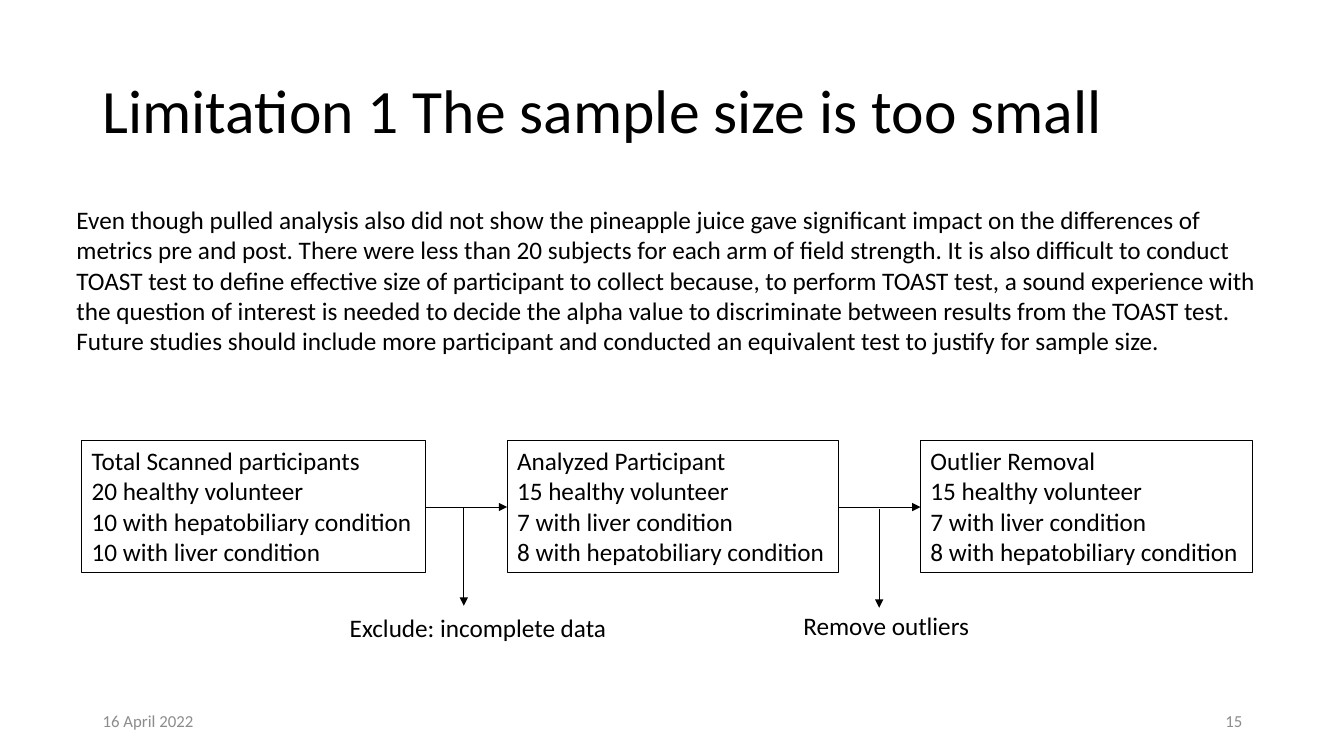
from dataclasses import dataclass

from lxml import etree
from pptx import Presentation
from pptx import util as u
from pptx.dml.color import RGBColor
from pptx.enum import shapes, text
from pptx.oxml import ns

BLACK, GREY = "000000", "8C8C8C"
LEFT, RIGHT = text.PP_ALIGN.LEFT, text.PP_ALIGN.RIGHT
TOP, MIDDLE = text.MSO_ANCHOR.TOP, text.MSO_ANCHOR.MIDDLE


@dataclass
class Label:
    left: float
    top: float
    width: float
    height: float
    lines: list[str]
    size: int = 18
    color: str = BLACK
    align: text.PP_ALIGN = LEFT
    anchor: text.MSO_ANCHOR = TOP
    wrap: bool = True
    spacing: float = 1.0
    framed: bool = False


@dataclass
class Arrow:
    start: tuple[float, float]
    end: tuple[float, float]


def rgb(color: str) -> RGBColor:
    return RGBColor.from_string(color)


def draw_label(page, label: Label) -> None:
    place = [u.Inches(v) for v in (label.left, label.top, label.width, label.height)]
    if label.framed:
        box = page.shapes.add_shape(shapes.MSO_SHAPE.RECTANGLE, *place)
        box.shadow.inherit = False
        box.fill.background()
        box.line.color.rgb = rgb(BLACK)
        box.line.width = u.Pt(0.75)
    else:
        box = page.shapes.add_textbox(*place)
    frame = box.text_frame
    frame.word_wrap = label.wrap
    frame.vertical_anchor = label.anchor
    font_format = {"name": "Calibri", "size": u.Pt(label.size)}
    for index, line in enumerate(label.lines):
        para = frame.paragraphs[0] if index == 0 else frame.add_paragraph()
        para.alignment = label.align
        para.line_spacing = label.spacing
        span = para.add_run()
        span.text = line
        for name, value in font_format.items():
            setattr(span.font, name, value)
        span.font.color.rgb = rgb(label.color)


def draw_arrow(page, arrow: Arrow) -> None:
    ends = [u.Inches(v) for v in (*arrow.start, *arrow.end)]
    line = page.shapes.add_connector(shapes.MSO_CONNECTOR.STRAIGHT, *ends)
    line.line.color.rgb = rgb(BLACK)
    line.line.width = u.Pt(0.5)
    etree.SubElement(line.line._get_or_add_ln(), ns.qn("a:tailEnd"), type="triangle")
    etree.SubElement(line._element.spPr, ns.qn("a:effectLst"))


def step(left: float, width: float, lines: list[str]) -> Label:
    """One framed box of the participant flow."""
    return Label(left, 4.37, width, 1.31, lines, wrap=False, framed=True)


REMAINING = ["15 healthy volunteer", "7 with liver condition", "8 with hepatobiliary condition"]
STEPS = [
    step(0.81, 3.41, ["Total Scanned participants", "20 healthy volunteer",
                      "10 with hepatobiliary condition", "10 with liver condition"]),
    step(5.03, 3.29, ["Analyzed Participant", *REMAINING]),
    step(9.13, 3.29, ["Outlier Removal", *REMAINING]),
]
LABELS = [
    Label(0.92, 0.4, 11.5, 1.45, ["Limitation 1 The sample size is too small"],
          size=44, anchor=MIDDLE, spacing=0.9),
    Label(0.92, 6.95, 3, 0.4, ["16 April 2022"], size=12, color=GREY, anchor=MIDDLE),
    Label(9.42, 6.95, 3, 0.4, ["15"], size=12, color=GREY, align=RIGHT, anchor=MIDDLE),
    Label(0.66, 1.98, 12.02, 1.62, [
        "Even though pulled analysis also did not show the pineapple juice gave significant "
        "impact on the differences of",
        "metrics pre and post. There were less than 20 subjects for each arm of field strength. "
        "It is also difficult to conduct TOAST test to define effective size of participant to "
        "collect because, to perform TOAST test, a sound experience with the question of interest "
        "is needed to decide the alpha value to discriminate between results from the TOAST test.",
        "Future studies should include more participant and conducted an equivalent test to "
        "justify for sample size.",
    ]),
    *STEPS,
    Label(3.37, 6.03, 2.78, 0.4, ["Exclude: incomplete data"], wrap=False),
    Label(7.87, 6.01, 1.86, 0.4, ["Remove outliers"], wrap=False),
]
FLOW_Y = 5.03
ARROWS = [Arrow((before.left + before.width, FLOW_Y), (after.left, FLOW_Y))
          for before, after in zip(STEPS, STEPS[1:])]
ARROWS += [Arrow((x, top), (x, top + 0.98)) for x, top in ((4.6, 5.03), (8.72, 5.05))]


def main() -> None:
    deck = Presentation()
    deck.slide_width, deck.slide_height = u.Inches(13.33), u.Inches(7.5)
    page = deck.slides.add_slide(deck.slide_layouts[6])
    for label in LABELS:
        draw_label(page, label)
    for arrow in ARROWS:
        draw_arrow(page, arrow)
    deck.save("out.pptx")


if __name__ == "__main__":
    main()
